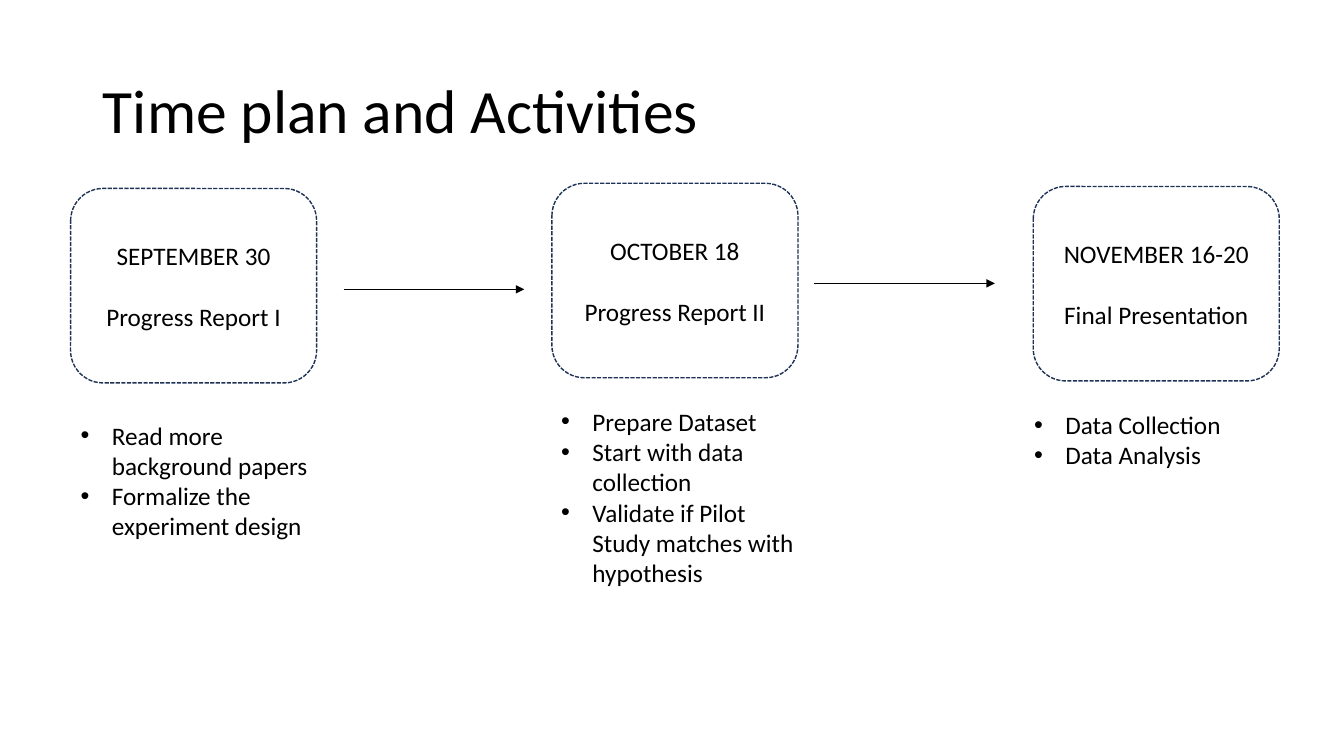
from lxml import etree
from pptx import Presentation
from pptx.dml.color import RGBColor
from pptx.enum.dml import MSO_LINE as Dash
from pptx.enum.shapes import MSO_CONNECTOR as Link, MSO_SHAPE as Shape
from pptx.enum.text import MSO_ANCHOR as Anchor, MSO_AUTO_SIZE as Fit, PP_ALIGN as Align
from pptx.oxml.ns import qn
from pptx.util import Cm, Pt

BLACK, NAVY = "000000", "1E3256"
LEFT, STEP = 1.78, 12.13
WIDE, TALL = 6.2, 4.9

# box top, date, event, list left, list top, list height, tasks
STAGES = [
    (4.75, "SEPTEMBER 30", "Progress Report I", 1.78, 10.46, 3.33,
     ["Read more background papers", "Formalize the experiment design"]),
    (4.62, "OCTOBER 18", "Progress Report II", 13.89, 10.11, 4.88,
     ["Prepare Dataset", "Start with data collection",
      "Validate if Pilot Study matches with hypothesis"]),
    (4.7, "NOVEMBER 16-20", "Final Presentation", 25.81, 10.19, 1.8,
     ["Data Collection", "Data Analysis"]),
]
ARROWS = [(8.66, 7.29), (20.52, 7.14)]


def color(code):
    return RGBColor.from_string(code)


def write(frame, lines, size=18, align=Align.LEFT, anchor=Anchor.TOP,
          gap=0, spacing=1.0, bullet=False):
    """Fill a text frame; gap is the space in points between paragraphs."""
    frame.word_wrap = True
    frame.vertical_anchor = anchor
    for i, line in enumerate(lines):
        para = frame.paragraphs[0] if i == 0 else frame.add_paragraph()
        para.alignment = align
        para.line_spacing = spacing
        para.space_before = Pt(gap if i else 0)
        run = para.add_run()
        run.text = line
        run.font.name = "Calibri"
        run.font.size = Pt(size)
        run.font.color.rgb = color(BLACK)
        if bullet:
            add_bullet(para)


def add_bullet(para):
    props = para._p.get_or_add_pPr()
    props.set("marL", str(Cm(0.79)))
    props.set("indent", str(-Cm(0.79)))
    etree.SubElement(props, qn("a:buFont")).set("typeface", "Arial")
    etree.SubElement(props, qn("a:buChar")).set("char", "•")


def add_title(slide, text):
    title = slide.shapes.title
    title.left, title.top = Cm(2.34), Cm(1.02)
    title.width, title.height = Cm(29.21), Cm(3.68)
    title.text_frame.auto_size = Fit.NONE
    write(title.text_frame, [text], size=44, anchor=Anchor.MIDDLE, spacing=0.9)


def add_box(slide, left, top, lines):
    box = slide.shapes.add_shape(
        Shape.ROUNDED_RECTANGLE, Cm(left), Cm(top), Cm(WIDE), Cm(TALL))
    box.shadow.inherit = False
    box.fill.background()
    box.line.color.rgb = color(NAVY)
    box.line.width = Pt(1)
    box.line.dash_style = Dash.SQUARE_DOT
    write(box.text_frame, lines, align=Align.CENTER, anchor=Anchor.MIDDLE, gap=22)


def add_list(slide, left, top, height, tasks):
    area = slide.shapes.add_textbox(Cm(left), Cm(top), Cm(6.6), Cm(height))
    area.text_frame.auto_size = Fit.SHAPE_TO_FIT_TEXT
    write(area.text_frame, tasks, bullet=True)


def add_arrow(slide, left, top):
    arrow = slide.shapes.add_connector(
        Link.STRAIGHT, Cm(left), Cm(top), Cm(left + 4.55), Cm(top))
    arrow.line.color.rgb = color(BLACK)
    arrow.line.width = Pt(0.5)
    etree.SubElement(arrow.line._get_or_add_ln(), qn("a:tailEnd")).set("type", "triangle")
    etree.SubElement(arrow._element.spPr, qn("a:effectLst"))


def main():
    deck = Presentation()
    deck.slide_width, deck.slide_height = Cm(33.87), Cm(19.05)
    slide = deck.slides.add_slide(deck.slide_layouts[5])
    add_title(slide, "Time plan and Activities")
    for i, (top, date, event, left, start, height, tasks) in enumerate(STAGES):
        add_box(slide, LEFT + i * STEP, top, [date, event])
        add_list(slide, left, start, height, tasks)
    for left, top in ARROWS:
        add_arrow(slide, left, top)
    deck.save("out.pptx")


if __name__ == "__main__":
    main()
